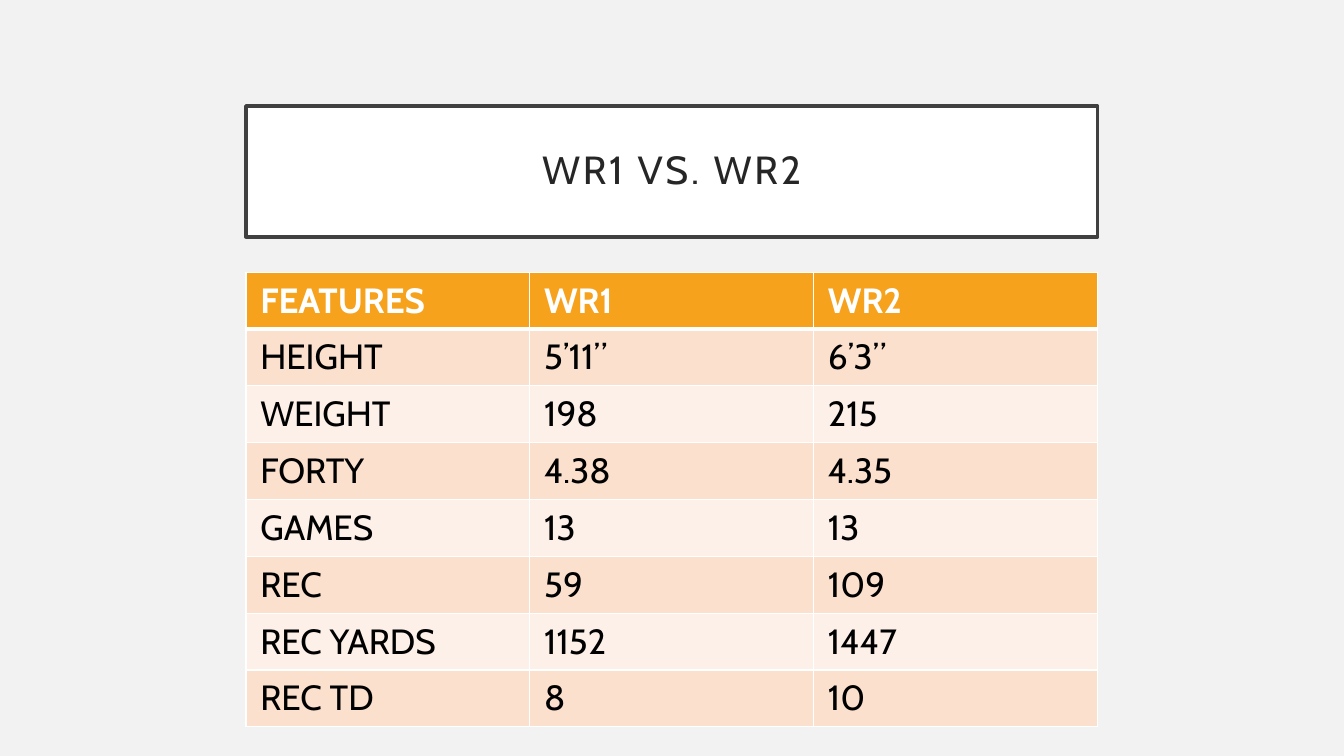
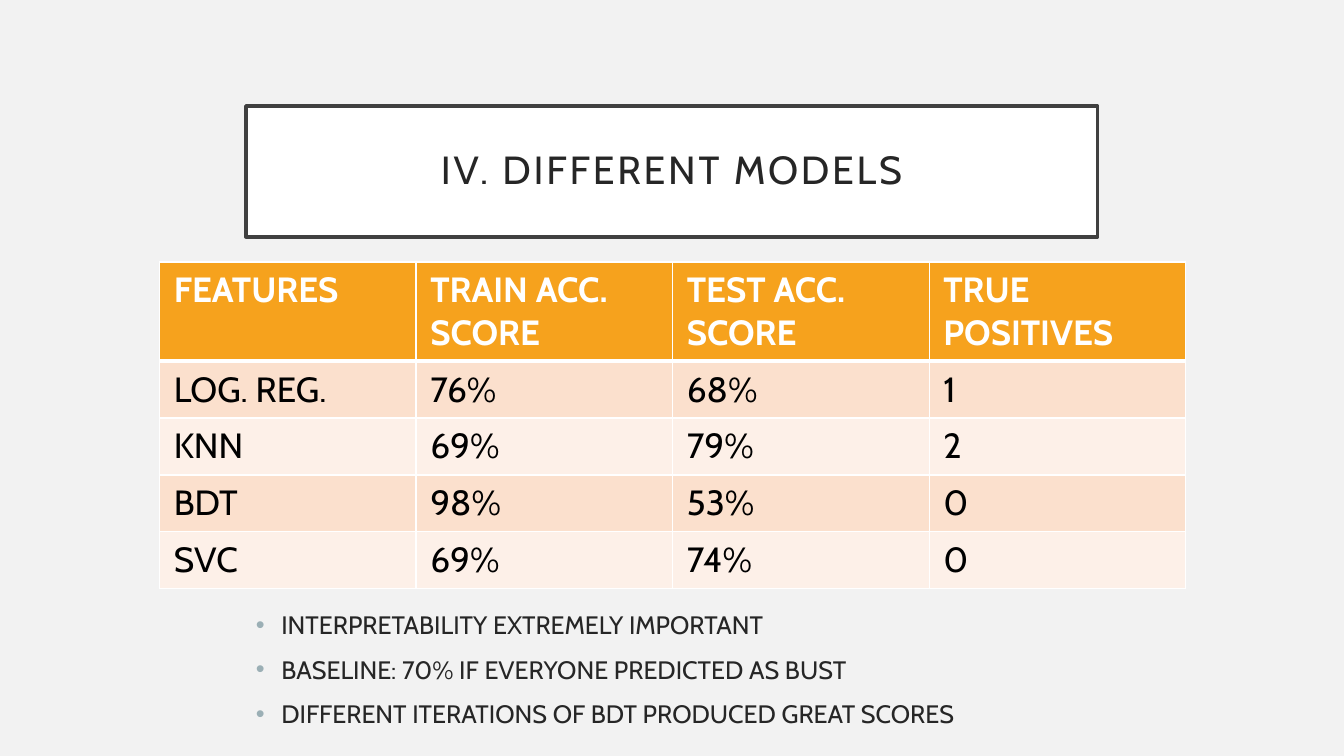
from dataclasses import dataclass

from lxml import etree
from pptx import Presentation
from pptx.dml.color import RGBColor
from pptx.enum.text import MSO_ANCHOR, MSO_AUTO_SIZE, PP_ALIGN
from pptx.oxml.ns import qn
from pptx.util import Cm, Pt

MIDDLE = MSO_ANCHOR.MIDDLE
TOP = MSO_ANCHOR.TOP
NO_AUTOFIT = MSO_AUTO_SIZE.NONE
CENTER = PP_ALIGN.CENTER
LEFT = PP_ALIGN.LEFT
TITLE_ONLY = 5


@dataclass(frozen=True)
class Theme:
    font: str = "Cabin"
    background: str = "F2F2F2"
    white: str = "FFFFFF"
    frame: str = "404040"
    text: str = "262626"
    cell_text: str = "000000"
    header: str = "F6A21D"
    bands: tuple = ("FBE0CD", "FDF0E8")
    bullet: str = "9BAFB5"
    title_size: float = 28
    table_size: float = 25
    body_size: float = 18
    frame_width: float = 2.5
    grid_width: float = 1
    header_rule_width: float = 3


THEME = Theme()
CONTENT_LEFT = Cm(6.2)
CONTENT_WIDTH = Cm(21.46)
ROW_HEIGHT = Cm(1.42)

PLAYER_ROWS = [
    ("FEATURES", "WR1", "WR2"),
    ("HEIGHT", "5’11”", "6’3”"),
    ("WEIGHT", "198", "215"),
    ("FORTY", "4.38", "4.35"),
    ("GAMES", "13", "13"),
    ("REC", "59", "109"),
    ("REC YARDS", "1152", "1447"),
    ("REC TD", "8", "10"),
]
MODEL_ROWS = [
    ("FEATURES", "TRAIN ACC. SCORE", "TEST ACC. SCORE", "TRUE POSITIVES"),
    ("LOG. REG.", "76%", "68%", "1"),
    ("KNN", "69%", "79%", "2"),
    ("BDT", "98%", "53%", "0"),
    ("SVC", "69%", "74%", "0"),
]
MODEL_NOTES = [
    "INTERPRETABILITY EXTREMELY IMPORTANT",
    "BASELINE: 70% IF EVERYONE PREDICTED AS BUST",
    "DIFFERENT ITERATIONS OF BDT PRODUCED GREAT SCORES",
]


def set_values(target, values):
    for name, value in values.items():
        setattr(target, name, value)


def set_fill(fill, color):
    fill.solid()
    fill.fore_color.rgb = RGBColor.from_string(color)


def place(box, left, top, width, height):
    set_values(box, {"left": left, "top": top, "width": width, "height": height})


def set_margins(target, across, down):
    set_values(target, {
        "margin_left": across, "margin_right": across,
        "margin_top": down, "margin_bottom": down,
    })


def write(para, text, size, color, bold=False):
    span = para.add_run()
    span.text = text
    set_values(span.font, {"name": THEME.font, "size": Pt(size), "bold": bold})
    span.font.color.rgb = RGBColor.from_string(color)
    return span


def add_page(deck, title):
    page = deck.slides.add_slide(deck.slide_layouts[TITLE_ONLY])
    box = page.shapes.title
    place(box, CONTENT_LEFT, Cm(2.67), CONTENT_WIDTH, Cm(3.3))
    set_fill(box.fill, THEME.white)
    set_fill(box.line.fill, THEME.frame)
    box.line.width = Pt(THEME.frame_width)
    frame = box.text_frame
    set_values(frame, {"word_wrap": True, "auto_size": NO_AUTOFIT, "vertical_anchor": MIDDLE})
    set_margins(frame, Cm(0.51), Cm(0.51))
    para = frame.paragraphs[0]
    set_values(para, {"alignment": CENTER, "line_spacing": 0.9})
    span = write(para, title, THEME.title_size, THEME.text)
    span.font._element.set("spc", "200")
    return page


def set_borders(cell, widths):
    properties = cell._tc.get_or_add_tcPr()
    for index, (side, width) in enumerate(widths.items()):
        line = etree.Element(qn(f"a:ln{side}"), w=str(Pt(width)))
        fill = etree.SubElement(line, qn("a:solidFill"))
        etree.SubElement(fill, qn("a:srgbClr"), val=THEME.white)
        properties.insert(index, line)


def format_cell(cell, text, row):
    is_header = row == 0
    set_fill(cell.fill, THEME.header if is_header else THEME.bands[(row - 1) % 2])
    set_margins(cell, Cm(0.36), Cm(0.18))
    color = THEME.white if is_header else THEME.cell_text
    write(cell.text_frame.paragraphs[0], text, THEME.table_size, color, is_header)
    widths = dict.fromkeys("LRTB", THEME.grid_width)
    if row < 2:
        widths["B" if is_header else "T"] = THEME.header_rule_width
    set_borders(cell, widths)


def add_grid(page, rows, left, top, width, header_height=ROW_HEIGHT):
    height = header_height + ROW_HEIGHT * (len(rows) - 1)
    table = page.shapes.add_table(len(rows), len(rows[0]), left, top, width, height).table
    for row, texts in enumerate(rows):
        table.rows[row].height = ROW_HEIGHT if row else header_height
        for column, text in enumerate(texts):
            format_cell(table.cell(row, column), text, row)


def add_bullet(para):
    properties = para._p.get_or_add_pPr()
    indent = Cm(0.64)
    properties.set("marL", str(indent))
    properties.set("indent", str(-indent))
    color = etree.SubElement(properties, qn("a:buClr"))
    etree.SubElement(color, qn("a:srgbClr"), val=THEME.bullet)
    etree.SubElement(properties, qn("a:buFont"), typeface="Arial")
    etree.SubElement(properties, qn("a:buChar"), char="•")


def add_bullets(page, texts, left, top, width, height):
    frame = page.shapes.add_textbox(left, top, width, height).text_frame
    set_values(frame, {"word_wrap": True, "auto_size": NO_AUTOFIT, "vertical_anchor": TOP})
    for index, text in enumerate(texts):
        para = frame.add_paragraph() if index else frame.paragraphs[0]
        set_values(para, {"alignment": LEFT, "space_before": Pt(10)})
        add_bullet(para)
        write(para, text, THEME.body_size, THEME.text)


def main():
    deck = Presentation()
    set_values(deck, {"slide_width": Cm(33.87), "slide_height": Cm(19.05)})
    set_fill(deck.slide_master.background.fill, THEME.background)

    players = add_page(deck, "WR1 VS. WR2")
    add_grid(players, PLAYER_ROWS, CONTENT_LEFT, Cm(6.86), CONTENT_WIDTH)

    models = add_page(deck, "IV. DIFFERENT MODELS")
    add_grid(models, MODEL_ROWS, Cm(4.02), Cm(6.6), Cm(25.86), Cm(2.48))
    add_bullets(models, MODEL_NOTES, CONTENT_LEFT, Cm(15.24), CONTENT_WIDTH, Cm(3.76))

    deck.save("out.pptx")


if __name__ == "__main__":
    main()
